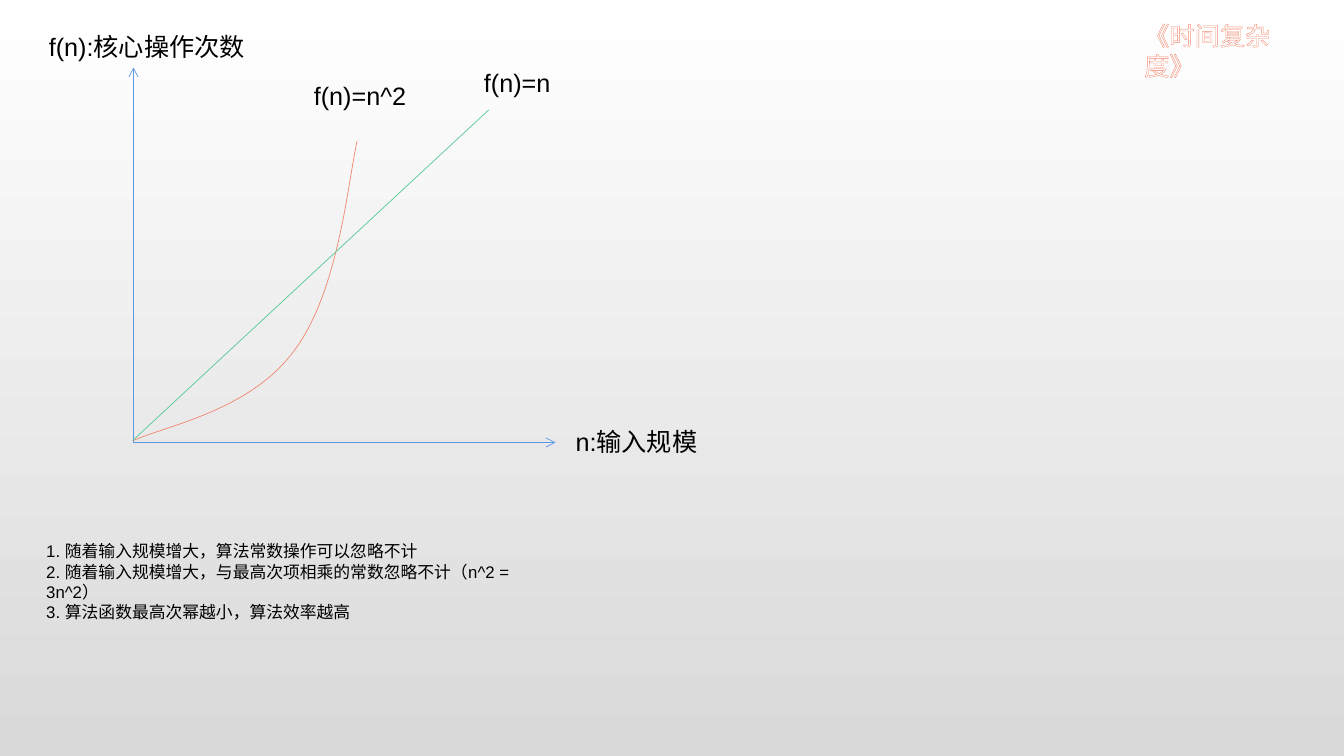
from collections import namedtuple

from lxml.etree import SubElement
from pptx import Presentation
from pptx.dml.color import RGBColor
from pptx.enum.dml import MSO_PATTERN
from pptx.enum.shapes import MSO_CONNECTOR
from pptx.enum.text import MSO_AUTO_SIZE
from pptx.oxml import parse_xml
from pptx.oxml.ns import nsdecls, qn
from pptx.util import Inches, Pt

BLACK = RGBColor(0x00, 0x00, 0x00)
WHITE = RGBColor(0xFF, 0xFF, 0xFF)
GREY = RGBColor(0xD9, 0xD9, 0xD9)
BLUE = RGBColor(0x60, 0x96, 0xE6)
GREEN = RGBColor(0x56, 0xCA, 0x95)
CORAL = RGBColor(0xF1, 0x88, 0x70)
PALE_CORAL = RGBColor(0xF7, 0xB8, 0xA9)

Box = namedtuple("Box", "left top width height")

TITLE = "《时间复杂度》"
AXES = [((0, 100), (100, 100)), ((0, 100), (0, 0))]
LINEAR = ((-0.2, 99.5), (84.2, 11.3))
QUADRATIC = [(0, 99.5), (7.2, 95.7), (27.4, 91.7), (37.9, 75.8),
             (48.7, 59.9), (50.8, 30.4), (53, 19.6)]
LABELS = [
    ("f(n)=n", 80.7, -1.3, 23.6),
    ("f(n)=n^2", 40.4, 2.2, 27.7),
    ("f(n):核心操作次数", -22.4, -11, 51.6),
    ("n:输入规模", 102.4, 94.4, 38.4),
]
LABEL_HEIGHT = 10.8
NOTES = [
    "1. 随着输入规模增大，算法常数操作可以忽略不计",
    "2. 随着输入规模增大，与最高次项相乘的常数忽略不计（n^2 = 3n^2）",
    "3. 算法函数最高次幂越小，算法效率越高",
]


def point_in(box, x, y):
    return (int(box.left + box.width * x / 100),
            int(box.top + box.height * y / 100))


def box_in(box, left, top, width, height):
    return Box(*point_in(box, left, top),
               int(box.width * width / 100), int(box.height * height / 100))


def add_text(slide, box, lines, size):
    shape = slide.shapes.add_textbox(*box)
    frame = shape.text_frame
    frame.word_wrap = True
    frame.auto_size = MSO_AUTO_SIZE.SHAPE_TO_FIT_TEXT
    frame.text = "\n".join(lines)
    for paragraph in frame.paragraphs:
        font = paragraph.runs[0].font
        for name, value in {"name": "Arial", "size": Pt(size)}.items():
            setattr(font, name, value)
        font.color.rgb = BLACK
    return shape


def style_line(shape, color):
    shape.line.color.rgb = color
    shape.line.width = Pt(0.5)


def add_line(slide, box, start, end, color, arrow=False):
    connector = slide.shapes.add_connector(
        MSO_CONNECTOR.STRAIGHT, *point_in(box, *start), *point_in(box, *end))
    style_line(connector, color)
    if arrow:
        SubElement(connector.line._get_or_add_ln(), qn("a:tailEnd"), type="arrow")
    SubElement(connector._element.spPr, qn("a:effectLst"))


def add_curve(slide, box, knots, color):
    points = [point_in(box, *knot) for knot in knots]
    builder = slide.shapes.build_freeform(*points[0])
    builder.add_line_segments(points[1:], close=False)
    shape = builder.convert_to_shape()
    shape.shadow.inherit = False
    shape.fill.background()
    style_line(shape, color)
    segments = list(shape._element.iter(qn("a:lnTo")))
    for first in range(0, len(segments), 3):
        bezier = SubElement(segments[first].getparent(), qn("a:cubicBezTo"))
        for segment in segments[first:first + 3]:
            bezier.append(segment[0])
            segment.getparent().remove(segment)


def add_background(slide):
    fill = slide.background.fill
    fill.gradient()
    fill.gradient_angle = 270
    for stop, color in zip(fill.gradient_stops, (WHITE, GREY)):
        stop.color.rgb = color


def add_title(slide, box):
    shape = add_text(slide, box, [TITLE], 18)
    font = shape.text_frame.paragraphs[0].runs[0].font
    font.fill.patterned()
    font.fill.pattern = MSO_PATTERN.LIGHT_DOWNWARD_DIAGONAL
    font.fill.fore_color.rgb = PALE_CORAL
    font.fill.back_color.rgb = WHITE
    font._element.insert(0, parse_xml(
        f'<a:ln {nsdecls("a")} w="{Pt(1)}"><a:solidFill>'
        f'<a:srgbClr val="{CORAL}"/></a:solidFill></a:ln>'))


def add_growth_graph(slide, box):
    for start, end in AXES:
        add_line(slide, box, start, end, BLUE, arrow=True)
    add_curve(slide, box, QUADRATIC, CORAL)
    add_line(slide, box, *LINEAR, GREEN)
    for text, left, top, width in LABELS:
        add_text(slide, box_in(box, left, top, width, LABEL_HEIGHT), [text], 18)


def main():
    presentation = Presentation()
    presentation.slide_width = Inches(13.33)
    presentation.slide_height = Inches(7.5)
    slide = presentation.slides.add_slide(presentation.slide_layouts[6])
    page = Box(0, 0, presentation.slide_width, presentation.slide_height)
    add_background(slide)
    add_title(slide, box_in(page, 84.4, 2, 14.55, 5.33))
    add_growth_graph(slide, box_in(page, 9.93, 8.93, 31.4, 49.6))
    add_text(slide, box_in(page, 2.7, 70.93, 40, 9.47), NOTES, 12)
    presentation.save("out.pptx")


if __name__ == "__main__":
    main()
